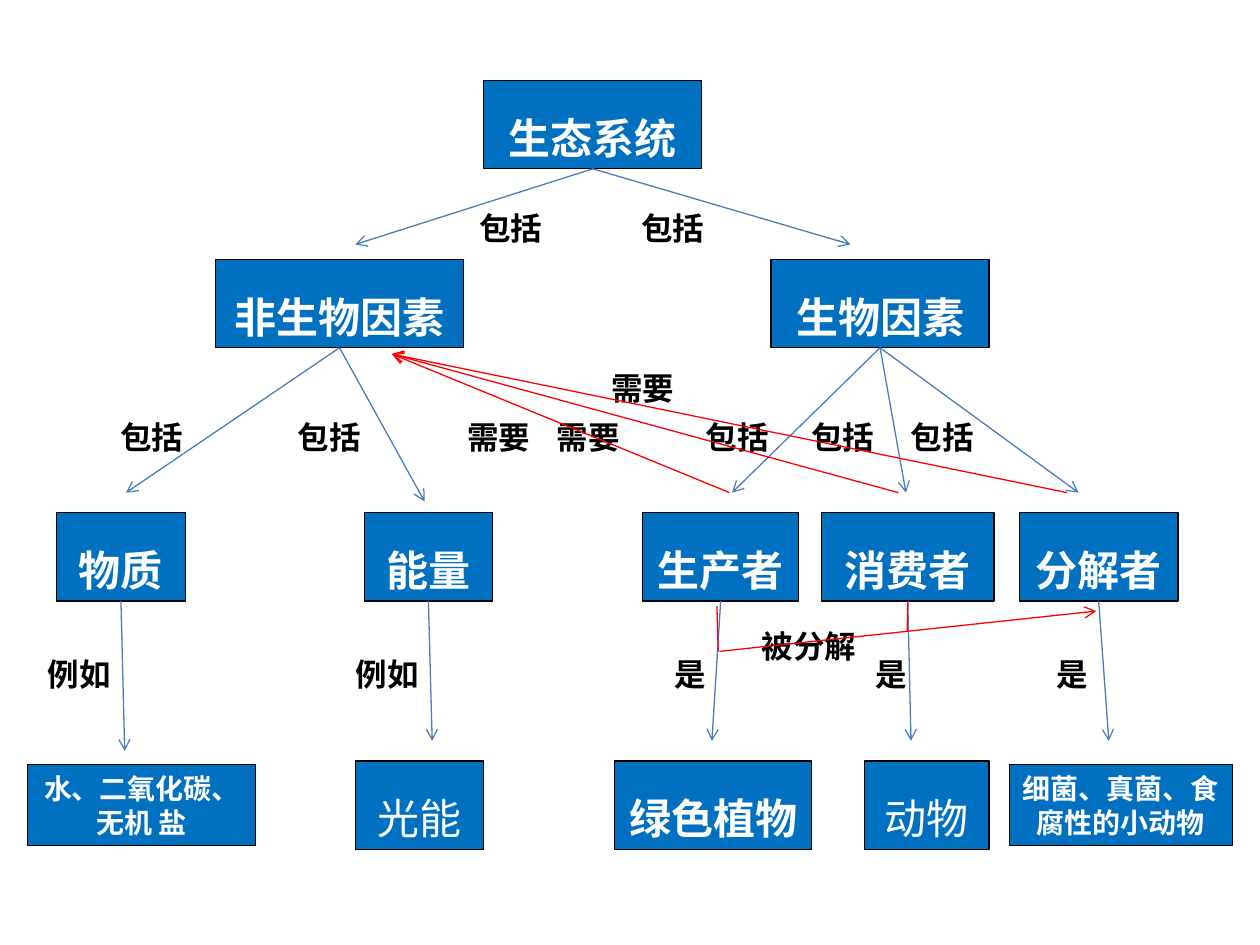
from lxml import etree
from pptx import Presentation
from pptx.dml.color import RGBColor
from pptx.enum.shapes import MSO_CONNECTOR, MSO_SHAPE
from pptx.enum.text import MSO_ANCHOR, MSO_AUTO_SIZE, PP_ALIGN
from pptx.oxml.ns import qn
from pptx.util import Inches, Pt

RECT, STRAIGHT = MSO_SHAPE.RECTANGLE, MSO_CONNECTOR.STRAIGHT
MIDDLE, CENTER = MSO_ANCHOR.MIDDLE, PP_ALIGN.CENTER
GROW = MSO_AUTO_SIZE.SHAPE_TO_FIT_TEXT
BOTTOM = 2  # connection site
FONT = "Noto Sans CJK SC"
COLORS = {"box": "0070C0", "edge": "000000", "white": "FFFFFF",
          "label": "000000", "link": "4A7EBB", "need": "FF0000"}
BOX_H, LABEL_H = 0.7, 0.55

# Levels of the concept map: top, then (text, left, width) for each box
LEVELS = [
    (0.64, [("生态系统", 3.84, 1.73)]),
    (2.06, [("非生物因素", 1.71, 1.97), ("生物因素", 6.12, 1.73)]),
    (4.07, [("物质", 0.45, 1.02), ("能量", 2.89, 1.02), ("生产者", 5.1, 1.24),
            ("消费者", 6.52, 1.37), ("分解者", 8.09, 1.26)]),
    (6.04, [("光能", 2.82, 1.02), ("绿色植物", 4.88, 1.56), ("动物", 6.86, 0.99)]),
]
LIGHT = {"光能", "动物"}  # boxes without bold
EXAMPLES_TOP, EXAMPLES_H = 6.07, 0.64
EXAMPLES = [("水、二氧化碳、\n无机 盐", 0.22, 1.81),
            ("细菌、真菌、食腐性的小动物", 8.01, 1.77)]

# Parent box and the tips of the arrows that leave it
BRANCHES = {
    "生态系统": [(2.82, 1.94), (6.75, 1.94)],
    "非生物因素": [(1, 3.91), (3.37, 3.98)],
    "生物因素": [(5.81, 3.91), (7.19, 3.91), (8.56, 3.91)],
    "物质": [(0.99, 5.96)],
    "能量": [(3.43, 5.88)],
    "生产者": [(5.65, 5.88)],
    "消费者": [(7.23, 5.88)],
    "分解者": [(8.8, 5.88)],
}

# Rows of link labels: top, then (text, left, width)
LABELS = [
    (1.46, [("包括", 3.66, 0.79), ("包括", 4.98, 0.72)]),
    (2.73, [("需要", 4.72, 0.76)]),
    (3.12, [("包括", 0.75, 0.91), ("包括", 2.16, 0.91), ("需要", 3.58, 0.76),
            ("需要", 4.29, 0.76), ("包括", 5.47, 0.76), ("包括", 6.31, 0.76),
            ("包括", 7.1, 0.76)]),
    (4.78, [("被分解", 5.87, 1.1)]),
    (5, [("例如", 0.12, 1.02), ("例如", 2.64, 0.87), ("是", 5.18, 0.6),
         ("是", 6.68, 0.79), ("是", 8.22, 0.58)]),
]
NEED_TIP, NEED_STARTS, NEED_TOP = (3.11, 2.81), (5.79, 7.13, 8.47), 3.91


def rgb(name):
    return RGBColor.from_string(COLORS[name])


def write(s, text, size, color, bold=True, spacing=1.5):
    tf = s.text_frame
    tf.word_wrap, tf.auto_size, tf.vertical_anchor = True, GROW, MIDDLE
    tf.text = text
    for p in tf.paragraphs:
        p.alignment, p.line_spacing = CENTER, spacing
        p.font.size, p.font.bold, p.font.name = Pt(size), bold, FONT
        p.font.color.rgb = rgb(color)
        props = p._p.pPr.find(qn("a:defRPr"))
        etree.SubElement(props, qn("a:ea"), typeface=FONT)


def add_box(slide, text, box, size=24, bold=True, spacing=1.5):
    s = slide.shapes.add_shape(RECT, *map(Inches, box))
    s.shadow.inherit = False
    s.fill.solid()
    s.fill.fore_color.rgb = rgb("box")
    s.line.color.rgb = rgb("edge")
    s.line.width = Pt(0.75)
    write(s, text, size, "white", bold, spacing)
    return s


def add_line(slide, start, end, color, arrow=True):
    c = slide.shapes.add_connector(STRAIGHT, *map(Inches, (*start, *end)))
    c.line.color.rgb = rgb(color)
    c.line.width = Pt(0.75)
    if arrow:
        etree.SubElement(c.line._get_or_add_ln(), qn("a:tailEnd"), type="arrow")
    etree.SubElement(c._element.spPr, qn("a:effectLst"))
    return c


def add_level(slide, top, items):
    return {text: add_box(slide, text, (left, top, width, BOX_H), bold=text not in LIGHT)
            for text, left, width in items}


def add_examples(slide, top, items):
    for text, left, width in items:
        add_box(slide, text, (left, top, width, EXAMPLES_H), size=16, spacing=1.0)


def add_branches(slide, parent, tips):
    for tip in tips:
        c = add_line(slide, (0, 0), tip, "link")
        c.begin_connect(parent, BOTTOM)


def add_labels(slide, top, items):
    for text, left, width in items:
        s = slide.shapes.add_textbox(*map(Inches, (left, top, width, LABEL_H)))
        write(s, text, 18, "label")


def add_red_links(slide, nodes):
    # Living things need the non-living factors
    for x in NEED_STARTS:
        add_line(slide, (x, NEED_TOP), NEED_TIP, "need")
    # Producers and consumers are decomposed
    add_line(slide, (5.69, 4.81), (5.7, 5.17), "need", arrow=False)
    add_line(slide, (5.71, 5.17), (8.7, 4.85), "need")
    c = add_line(slide, (7.2, 4.77), (7.2, 5.01), "need", arrow=False)
    c.begin_connect(nodes["消费者"], BOTTOM)


def main():
    prs = Presentation()
    prs.slide_width, prs.slide_height = Inches(10), Inches(7.5)
    slide = prs.slides.add_slide(prs.slide_layouts[6])

    nodes = {}
    for top, items in LEVELS:
        nodes.update(add_level(slide, top, items))
    add_examples(slide, EXAMPLES_TOP, EXAMPLES)
    for name, tips in BRANCHES.items():
        add_branches(slide, nodes[name], tips)
    for top, items in LABELS:
        add_labels(slide, top, items)
    add_red_links(slide, nodes)

    prs.save("out.pptx")


if __name__ == "__main__":
    main()
